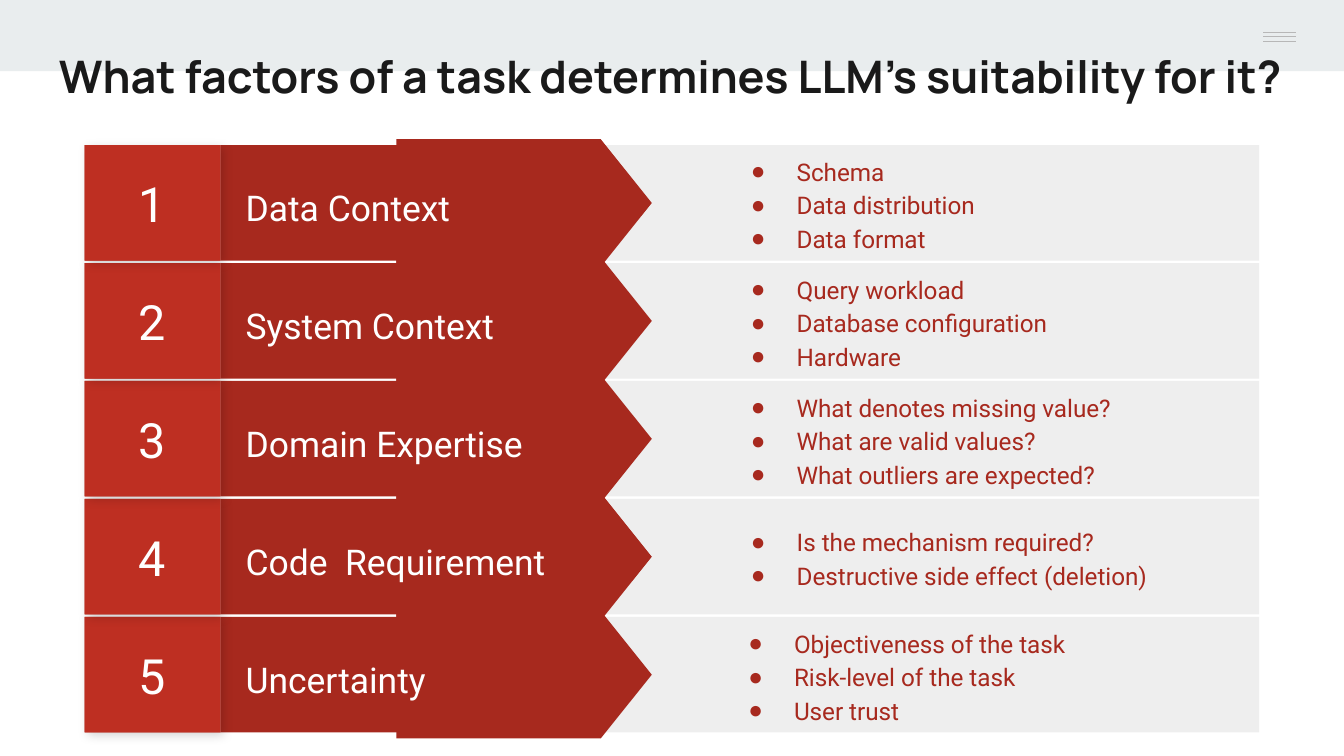
from lxml import etree
from pptx import Presentation
from pptx.dml.color import RGBColor
from pptx.enum.shapes import MSO_CONNECTOR as Connector, MSO_SHAPE as Shape
from pptx.enum.text import MSO_ANCHOR as Anchor, PP_ALIGN as Align
from pptx.oxml.ns import qn
from pptx.util import Inches, Pt

TITLE = "What factors of a task determines LLM’s suitability for it?"
FACTORS = [
    ("Data Context", 5.33, ["Schema", "Data distribution", "Data format"]),
    ("System Context", 5.33, ["Query workload", "Database configuration", "Hardware"]),
    ("Domain Expertise", 5.33, ["What denotes missing value?", "What are valid values?",
                                "What outliers are expected?"]),
    ("Code  Requirement", 5.33, ["Is the mechanism required?",
                                 "Destructive side effect (deletion)"]),
    ("Uncertainty", 5.31, ["Objectiveness of the task", "Risk-level of the task", "User trust"]),
]
MENU_LINES = [0.24, 0.27, 0.31]

HEADER, PANEL, RULE = "E9EDEE", "EEEEEE", "B7B7B7"
RED, BRIGHT_RED, SHADE_RED = "A7291E", "BE2F22", "B02B20"
WHITE, INK = "FFFFFF", "1A1A1A"

FIRST_TOP, LAST_TOP, ROW_HEIGHT = 1.08, 4.59, 0.86
PITCH = (LAST_TOP - FIRST_TOP) / (len(FACTORS) - 1)
ARROW_CENTER, ARROW_LENGTH, ARROW_BREADTH = 3.9, 1.9, 0.95


def color(value):
    return RGBColor.from_string(value)


def add_block(left, top, width, height, fill, kind=Shape.RECTANGLE):
    block = page.shapes.add_shape(kind, Inches(left), Inches(top), Inches(width), Inches(height))
    block.shadow.inherit = False
    block.fill.solid()
    block.fill.fore_color.rgb = color(fill)
    block.line.fill.background()
    return block


def add_box(left, top, width, height):
    return page.shapes.add_textbox(Inches(left), Inches(top), Inches(width), Inches(height))


def add_shadow(block):
    effects = block._element.spPr.find(qn("a:effectLst"))
    shadow = etree.SubElement(effects, qn("a:outerShdw"), blurRad=str(Pt(5.6)),
                              dist=str(Pt(2.2)), dir="2700000", algn="bl", rotWithShape="0")
    tint = etree.SubElement(shadow, qn("a:srgbClr"), val="000000")
    etree.SubElement(tint, qn("a:alpha"), val="17000")


def add_bullet(para):
    props = para._p.get_or_add_pPr()
    props.set("marL", str(Inches(0.5)))
    props.set("indent", str(Inches(-0.34)))
    tint = etree.SubElement(props, qn("a:buClr"))
    etree.SubElement(tint, qn("a:srgbClr"), val=RED)
    etree.SubElement(props, qn("a:buFont"), typeface="Arial")
    etree.SubElement(props, qn("a:buChar"), char="●")


def write(shape, lines, size, ink, face="Roboto", bold=False, align=Align.LEFT,
          spacing=None, bullets=False, anchor=Anchor.MIDDLE):
    frame = shape.text_frame
    frame.word_wrap = True
    frame.vertical_anchor = anchor
    frame.margin_left = frame.margin_right = Inches(0.1)
    frame.margin_top = frame.margin_bottom = Inches(0.1)
    for index, line in enumerate(lines):
        para = frame.add_paragraph() if index else frame.paragraphs[0]
        if bullets:
            add_bullet(para)
        para.alignment = align
        if spacing:
            para.line_spacing = spacing
        span = para.add_run()
        span.text = line
        span.font.size = Pt(size)
        span.font.name = face
        span.font.bold = bold
        span.font.color.rgb = color(ink)


def add_factor(number, name, details_left, details):
    top = FIRST_TOP + (number - 1) * PITCH
    add_block(3.76, top, 5.61, ROW_HEIGHT, PANEL)
    add_block(1.64, top, 2.71, ROW_HEIGHT, RED)
    arrow = add_block(ARROW_CENTER - ARROW_BREADTH / 2,
                      top + ROW_HEIGHT / 2 - ARROW_LENGTH / 2,
                      ARROW_BREADTH, ARROW_LENGTH, RED, Shape.FLOWCHART_OFFPAGE_CONNECTOR)
    arrow.rotation = 270
    write(add_box(1.73, top + 0.11, 2.85, 0.66), [name], 19, WHITE, spacing=1.15)
    add_shadow(add_block(0.63, top, 1.01, ROW_HEIGHT, SHADE_RED))
    tile = add_block(0.63, top, 1.01, ROW_HEIGHT, BRIGHT_RED)
    write(tile, [str(number)], 26, WHITE, align=Align.CENTER)
    write(add_box(details_left, top, 3.76, ROW_HEIGHT), details, 13, RED,
          spacing=1.15, bullets=True)


deck = Presentation()
deck.slide_width = Inches(10)
deck.slide_height = deck.slide_width * 9 // 16
page = deck.slides.add_slide(deck.slide_layouts[6])

add_block(0, 0, 10, 0.53, HEADER)
for height in MENU_LINES:
    rule = page.shapes.add_connector(Connector.STRAIGHT, Inches(9.4), Inches(height),
                                     Inches(9.64), Inches(height))
    rule.line.color.rgb = color(RULE)
    rule.line.width = Pt(0.75)
    etree.SubElement(rule._element.spPr, qn("a:effectLst"))

for number, factor in reversed(list(enumerate(FACTORS, 1))):
    add_factor(number, *factor)

write(add_box(0.34, 0.26, 9.45, 0.56), [TITLE], 24, INK, "Manrope", bold=True, anchor=Anchor.TOP)

deck.save("out.pptx")
